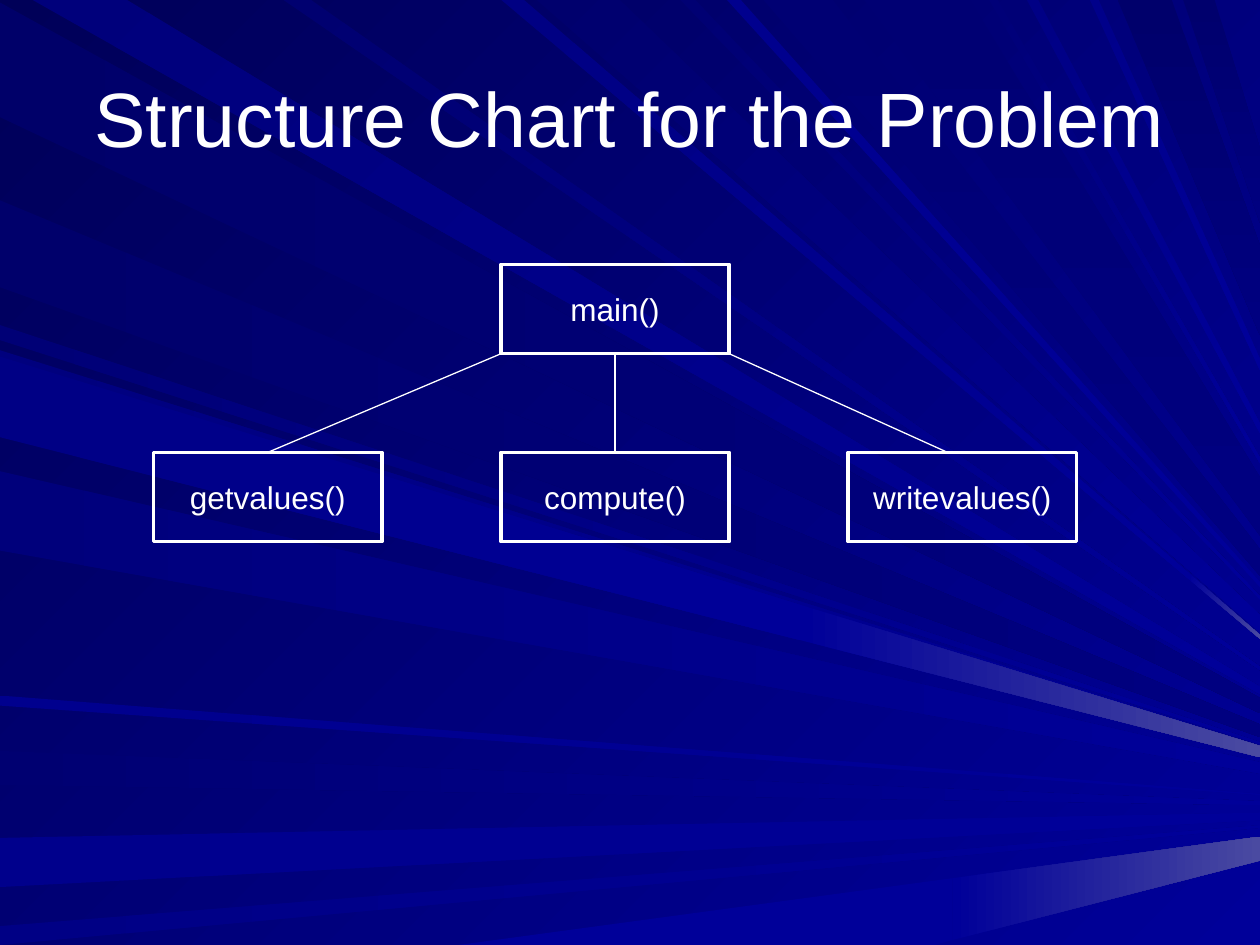
from dataclasses import dataclass

from lxml.etree import SubElement
from pptx import Presentation
from pptx.dml.color import RGBColor
from pptx.enum.shapes import MSO_CONNECTOR, MSO_SHAPE
from pptx.enum.text import MSO_ANCHOR, MSO_AUTO_SIZE, PP_ALIGN
from pptx.oxml.ns import qn
from pptx.util import Cm, Pt


@dataclass(frozen=True)
class Theme:
    ink: str = "FFFFFF"
    dark: str = "000058"
    blue: str = "000099"
    glow: str = "4A4AA1"
    font: str = "Arial"
    title: int = 44
    label: int = 18
    edge: float = 2
    link: float = 0.75


THEME = Theme()

# Box grid in cm
WIDE, HIGH = 4.6, 1.8
LEFT, STEP = 3.1, 7
TOP, LOW = 5.33, 9.12

# Rays run from a span on one edge towards a focus right of the slide.
# Corners are in hundredths of an inch.
UNIT = Cm(2.54) / 100
FOCUS = (1160, 642)
RIGHT, BASE = 1000, 750

# Span start, span end, blue at the edge, blue at the tip, where a glow starts
SIDE = [
    (2, 93, "69", "80"), (596, 623, "71", "99"), (665, 704, "8C", "99"),
    (735, 750, "85", "99"), (258, 270, "76", "99"), (159, 228, "6B", "80"),
    (278, 342, "7E", "99"), (374, 437, "7B", "99"), (552, 560, "8E", "99"),
    (283, 347, "85", "99", 635),
]
ROOF = [
    (26, 101, "7B", "99"), (398, 416, "83", "99", 945),
    (426, 492, "6D", "99"), (540, 552, "73", "99"), (606, 661, "73", "80"),
    (887, 930, "6B", "80"), (939, 964, "6D", "80"), (225, 247, "70", "99"),
    (577, 588, "8E", "99"), (686, 770, "73", "80"), (785, 792, "78", "99"),
    (815, 824, "85", "99"), (865, 872, "8A", "99"),
]
FLOOR = [(364, 742, "99", "99", 756)]


def rgb(code):
    return RGBColor.from_string(code)


def paint(fill, first, last, angle):
    """Fill with a gradient turned clockwise."""
    fill.gradient()
    fill.gradient_angle = -angle % 360
    for stop, code in zip(fill.gradient_stops, (first, last)):
        stop.color.rgb = rgb(code)


def write(shape, text, size=THEME.label, color=THEME.ink, wrap=False):
    frame = shape.text_frame
    frame.text = text
    frame.word_wrap = wrap
    frame.auto_size = MSO_AUTO_SIZE.NONE
    frame.vertical_anchor = MSO_ANCHOR.MIDDLE
    line = frame.paragraphs[0]
    line.alignment = PP_ALIGN.CENTER
    font = line.runs[0].font
    font.name, font.size = THEME.font, Pt(size)
    font.color.rgb = rgb(color)


def stroke(line, width):
    line.color.rgb = rgb(THEME.ink)
    line.width = Pt(width)


def reach(point, across):
    """Point at a given x on the way to the focus."""
    x, y = point
    part = (across - x) / (FOCUS[0] - x)
    return across, round(y + part * (FOCUS[1] - y))


def wedge(group, points, first, last, angle):
    pen = group.shapes.build_freeform(*points[0], scale=UNIT)
    pen.add_line_segments(points[1:], close=True)
    shape = pen.convert_to_shape()
    shape.shadow.inherit = False
    paint(shape.fill, first, last, angle)
    shape.line.fill.background()


def ray(group, start, end, first, last, angle, cut=None):
    stop = cut or RIGHT
    near = [reach(start, stop), reach(end, stop)]
    wedge(group, [start, *near, end], "0000" + first, "0000" + last, angle)
    if cut:
        far = [reach(end, RIGHT), reach(start, RIGHT)]
        wedge(group, near + far, THEME.blue, THEME.glow, angle)


def rays(slide):
    group = slide.shapes.add_group_shape()
    for low, high, first, last, *cut in SIDE:
        ray(group, (0, low), (0, high), first, last, 0, *cut)
    for low, high, first, last, *cut in ROOF:
        angle = 90 if last == "80" else 45
        ray(group, (low, 0), (high, 0), first, last, angle, *cut)
    for low, high, first, last, *cut in FLOOR:
        ray(group, (low, BASE), (high, BASE), first, last, 0, *cut)
    # Send behind the title
    slide.shapes._spTree.insert(2, group._element)


def box(slide, text, col, top):
    shape = slide.shapes.add_shape(
        MSO_SHAPE.FLOWCHART_PROCESS,
        Cm(LEFT + col * STEP), Cm(top), Cm(WIDE), Cm(HIGH))
    shape.shadow.inherit = False
    shape.fill.background()
    stroke(shape.line, THEME.edge)
    write(shape, text)
    return shape


def link(slide, start, end):
    line = slide.shapes.add_connector(MSO_CONNECTOR.STRAIGHT, *start, *end)
    stroke(line.line, THEME.link)
    SubElement(line._element.spPr, qn("a:effectLst"))
    return line


def main():
    deck = Presentation()
    deck.slide_width, deck.slide_height = Cm(25.4), Cm(19.05)
    slide = deck.slides.add_slide(deck.slide_layouts[5])

    # Backdrop
    paint(slide.background.fill, THEME.dark, THEME.blue, 45)
    rays(slide)

    # Title
    title = slide.shapes.title
    title.left, title.top = Cm(1.27), Cm(0.76)
    title.width, title.height = Cm(22.86), Cm(3.18)
    write(title, "Structure Chart for the Problem", size=THEME.title, wrap=True)

    # Boxes
    root = box(slide, "main()", 1, TOP)
    names = ["getvalues()", "compute()", "writevalues()"]
    kids = [box(slide, name, col, LOW) for col, name in enumerate(names)]

    # Links from the root to each function
    base = root.top + root.height
    mid = root.left + root.width // 2
    stem = link(slide, (mid, base), (mid, kids[1].top))
    stem.begin_connect(root, 2)
    stem.end_connect(kids[1], 0)
    side = link(slide, (root.left, base), (Cm(5.4), kids[0].top))
    side.end_connect(kids[0], 0)
    link(slide, (root.left + root.width, base), (Cm(19.1), kids[2].top))

    deck.save("out.pptx")


if __name__ == "__main__":
    main()
